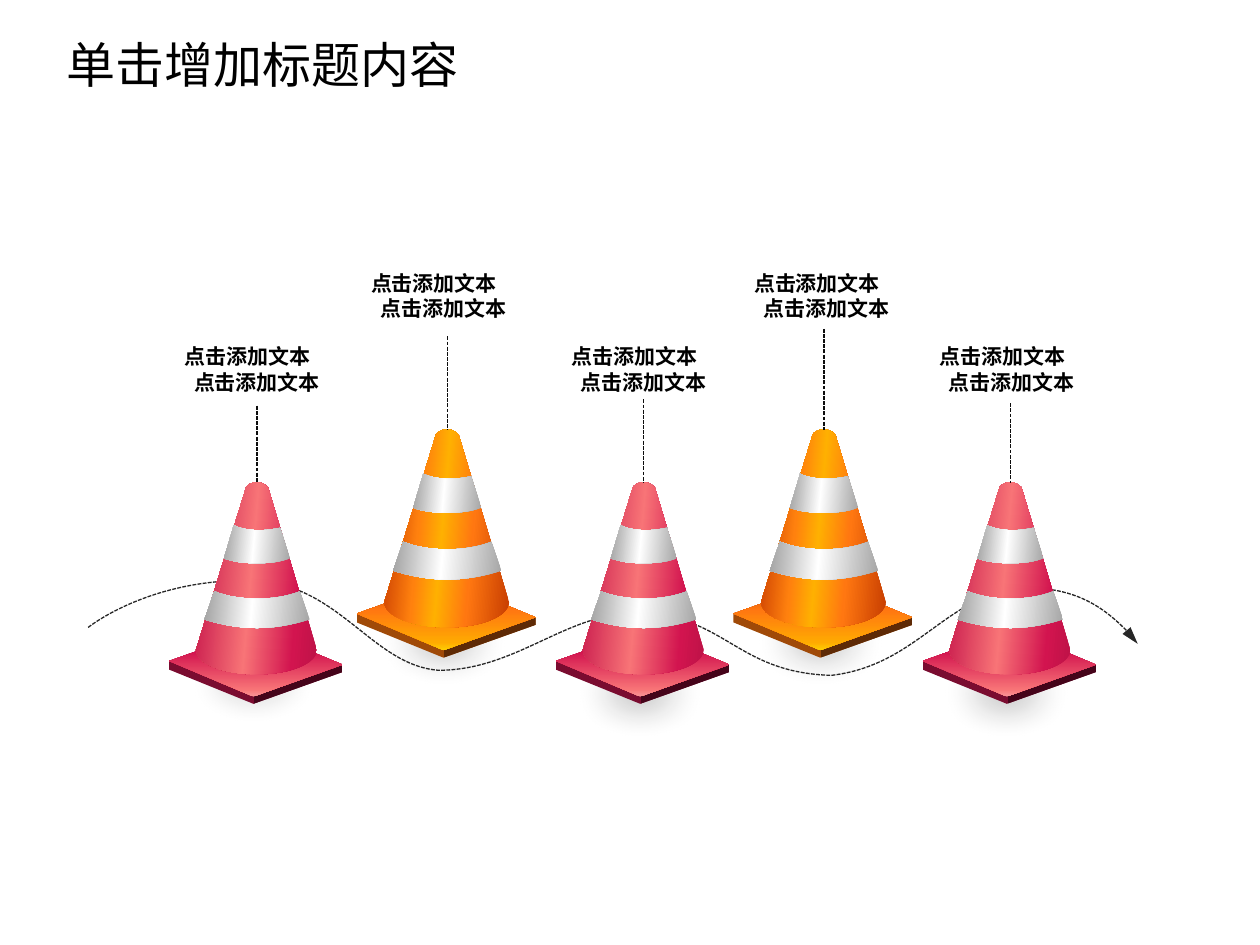
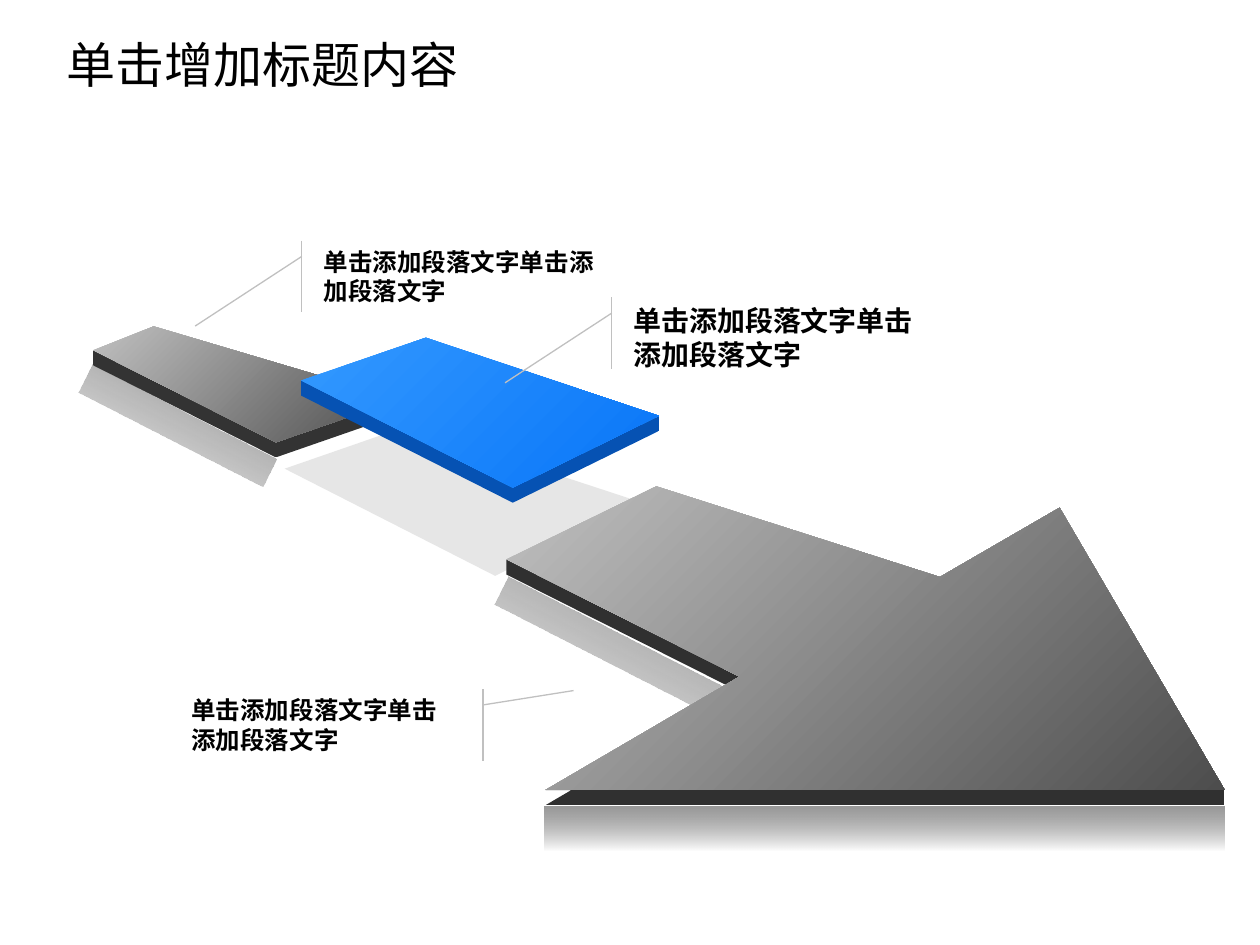
"""Build two diagram slides: a row of traffic cones and a broken arrow."""
from lxml import etree
from pptx import Presentation
from pptx.dml.color import RGBColor
from pptx.enum.dml import MSO_LINE
from pptx.enum.shapes import MSO_CONNECTOR, MSO_SHAPE
from pptx.enum.text import MSO_ANCHOR, PP_ALIGN
from pptx.oxml.ns import qn
from pptx.util import Inches, Pt

STRAIGHT = MSO_CONNECTOR.STRAIGHT
DASH = MSO_LINE.SQUARE_DOT
ELLIPSE = MSO_SHAPE.OVAL
RECTANGLE = MSO_SHAPE.RECTANGLE
CALLOUT = MSO_SHAPE.LINE_CALLOUT_1_ACCENT_BAR
TOP, MIDDLE = MSO_ANCHOR.TOP, MSO_ANCHOR.MIDDLE
LEFT, CENTER = PP_ALIGN.LEFT, PP_ALIGN.CENTER

CJK_FONT = "Noto Sans CJK SC"
BLACK = "000000"
TITLE = "单击增加标题内容"


def paint(shape, stops=(), angle=90, line=None, dash=None, soft=0):
    """Fill with (position, colour[, alpha]) stops, draw the line, set the soft edge."""
    properties = shape._element.spPr
    if stops:
        shape.fill.gradient()
        gradient = properties.find(qn("a:gradFill"))
        for child in list(gradient):
            gradient.remove(child)
        stop_list = etree.SubElement(gradient, qn("a:gsLst"))
        for position, colour, *alpha in stops:
            stop = etree.SubElement(stop_list, qn("a:gs"), pos=str(position * 1000))
            rgb = etree.SubElement(stop, qn("a:srgbClr"), val=colour)
            for value in alpha:
                etree.SubElement(rgb, qn("a:alpha"), val=str(value * 1000))
        etree.SubElement(gradient, qn("a:lin"), ang=str(angle * 60000), scaled="0")
    elif hasattr(shape, "fill"):
        shape.fill.background()
    if line:
        shape.line.color.rgb = RGBColor.from_string(line)
        shape.line.width = Pt(0.75)
        shape.line.dash_style = dash
    else:
        shape.line.fill.background()
    effects = etree.SubElement(properties, qn("a:effectLst"))
    if soft:
        etree.SubElement(effects, qn("a:softEdge"), rad=str(Inches(soft)))


def write(shape, lines, size, font="Arial", bold=False, align=LEFT, anchor=TOP, step=0):
    """Write lines as paragraphs, each indented by one more step."""
    frame = shape.text_frame
    frame.word_wrap = True
    frame.vertical_anchor = anchor
    for index, line in enumerate(lines):
        paragraph = frame.paragraphs[0] if index == 0 else frame.add_paragraph()
        paragraph.alignment = align
        paragraph._p.get_or_add_pPr().set("marL", str(Inches(step * index)))
        run = paragraph.add_run()
        run.text = line
        run.font.name = font
        run.font.size = Pt(size)
        run.font.bold = bold
        run.font.color.rgb = RGBColor.from_string(BLACK)
        etree.SubElement(run._r.get_or_add_rPr(), qn("a:ea"), typeface=CJK_FONT)


presentation = Presentation()
presentation.slide_width = Inches(10)
presentation.slide_height = Inches(7.5)
slides = []
for number in range(2):
    slide = presentation.slides.add_slide(presentation.slide_layouts[5])
    title = slide.shapes.title
    title.left, title.top = Inches(0.43), Inches(0.15)
    title.width, title.height = Inches(9.06), Inches(0.71)
    write(title, [TITLE], 28, anchor=MIDDLE)
    slides.append(slide)
cone_slide, arrow_slide = slides

SILVER = [(0, "A6A6A6"), (55, "FFFFFF"), (98, "A6A6A6")]
SHADE = [(0, "121212", 30), (100, "121212", 30)]
ORANGE = {
    "scale": 1, "top": 3.41, "label_top": 2.1,
    "body": [(0, "C73E01"), (31, "FF7711"), (53, "FFB001"), (70, "FF810E"), (89, "D74E05")],
    "base": [(0, "C73E01"), (42, "FF7711"), (89, "FFAA01"), (100, "FECE02")],
    "rim": [(0, "A04A08"), (49, "A04A08"), (49, "5E2A06"), (100, "5E2A06")],
}
RED = {
    "scale": 0.97, "top": 3.83, "label_top": 2.68,
    "body": [(0, "BE1247"), (19, "D2144F"), (54, "F87477"), (98, "C5134A")],
    "base": [(0, "BE1247"), (33, "D2144F"), (90, "F87477"), (100, "FA9496")],
    "rim": [(0, "7A0C30"), (49, "7A0C30"), (49, "45041A"), (100, "45041A")],
}
# centre, style, shadow top, label left, leader top
CONES = [
    (3.55, ORANGE, 4.64, 2.73, 2.67),
    (6.54, ORANGE, 4.64, 5.77, 2.61),
    (2.04, RED, 4.93, 1.25, 3.22),
    (5.11, RED, 5.05, 4.32, 3.17),
    (8.02, RED, 5.05, 7.24, 3.2),
]
for centre, style, shadow_top, label_left, leader_top in CONES:
    shadow = cone_slide.shapes.add_shape(
        ELLIPSE, Inches(centre - 0.8), Inches(shadow_top), Inches(1.54), Inches(0.9))
    paint(shadow, SHADE, soft=0.28)

WAVE = [
    (0.7, 4.98),
    (0.87, 4.85, 1.36, 4.58, 2.04, 4.61), (2.7, 4.65, 2.96, 5.28, 3.48, 5.32),
    (4.1, 5.32, 4.5, 4.86, 5.04, 4.87), (5.75, 4.86, 5.83, 5.34, 6.6, 5.36),
    (7.27, 5.28, 7.49, 4.75, 8.07, 4.67), (8.53, 4.64, 8.89, 4.91, 9.03, 5.11),
]
# cone outlines run from the centre of the tip; six numbers make a curve
RIM = [(-0.72, 1.46), (0.01, 1.2), (0.7, 1.49), (0.7, 1.55), (-0.03, 1.81), (-0.72, 1.53)]
BASE = [(-0.72, 1.46), (-0.03, 1.75), (0.7, 1.49), (0.01, 1.2)]
BODY = [
    (-0.09, 0.04), (-0.07, 0, 0.03, -0.03, 0.09, 0.04), (0.49, 1.37),
    (0.49, 1.48, 0.27, 1.57, 0, 1.57), (-0.28, 1.57, -0.5, 1.48, -0.5, 1.37),
]
UPPER_BAND = [
    (-0.19, 0.35), (-0.13, 0.38, -0.05, 0.39, 0.02, 0.39), (0.08, 0.39, 0.14, 0.38, 0.19, 0.37),
    (0.27, 0.62), (0.19, 0.65, 0.1, 0.66, 0, 0.66), (-0.1, 0.66, -0.19, 0.65, -0.27, 0.62),
]
LOWER_BAND = [
    (-0.35, 0.89), (-0.25, 0.93, -0.13, 0.95, 0, 0.95), (0.13, 0.95, 0.25, 0.93, 0.35, 0.89),
    (0.43, 1.12), (0.3, 1.16, 0.15, 1.19, 0, 1.19), (-0.15, 1.19, -0.3, 1.16, -0.43, 1.12),
]
# slide, origin, scale, outline, fill stops, gradient angle
drawings = [(cone_slide, (0, 0), 1, WAVE, (), 0)]
for centre, style, shadow_top, label_left, leader_top in CONES:
    parts = [
        (RIM, style["rim"], 0), (BASE, style["base"], 90), (BODY, style["body"], 185),
        (UPPER_BAND, SILVER, 185), (LOWER_BAND, SILVER, 185),
    ]
    drawings += [(cone_slide, (centre, style["top"]), style["scale"], *part) for part in parts]

GREY = [(0, "C0C0C0"), (100, "4D4D4D")]
BLUE = [(0, "3399FF"), (100, "0875F8")]
FLAT = [(0, "C0C0C0", 38), (100, "C0C0C0", 38)]
FADE = [(0, "5F5F5F", 0), (100, "969696")]
REFLECTIONS = [
    (0.59, 3.25, 1.64, 0.25, 207),
    (3.86, 5.05, 2.15, 0.25, 207),
    (4.32, 6.4, 5.4, 0.35, 180),
]
for left, top, width, height, rotation in REFLECTIONS:
    reflection = arrow_slide.shapes.add_shape(
        RECTANGLE, Inches(left), Inches(top), Inches(width), Inches(height))
    reflection.rotation = rotation
    paint(reflection, FADE)

# outline, fill stops, side colour, number of corners along the front
SLABS = [
    ([(0.74, 2.78), (2.19, 3.51), (3.17, 3.17), (1.22, 2.59)], GREY, "333333", 3),
    ([(2.26, 3.72), (3.93, 4.57), (5.1, 3.99), (3.24, 3.38)], FLAT, None, 0),
    ([(2.39, 3.02), (4.07, 3.87), (5.23, 3.3), (3.38, 2.68)], BLUE, "0652B3", 3),
    ([(4.02, 4.44), (5.87, 5.37), (4.33, 6.27), (9.72, 6.27), (8.41, 4.03), (7.46, 4.58),
      (5.21, 3.86)], GREY, "303030", 4),
]
for outline, stops, side_colour, corners in SLABS:
    if corners:
        front = outline[:corners]
        side = front + [(x, y + 0.12) for x, y in reversed(front)]
        side_stops = [(0, side_colour), (100, side_colour)]
        drawings.append((arrow_slide, (0, 0), 1, side, side_stops, 0))
    drawings.append((arrow_slide, (0, 0), 1, outline, stops, 45))

for slide, (origin_x, origin_y), scale, outline, stops, angle in drawings:
    points = [
        (Inches(origin_x + segment[i] * scale), Inches(origin_y + segment[i + 1] * scale))
        for segment in outline for i in range(0, len(segment), 2)]
    builder = slide.shapes.build_freeform(*points[0])
    builder.add_line_segments(points[1:], close=bool(stops))
    shape = builder.convert_to_shape()
    line_elements = iter(list(shape._element.spPr.iter(qn("a:lnTo"))))
    for segment in outline[1:]:
        element = next(line_elements)
        if len(segment) == 6:
            curve = etree.Element(qn("a:cubicBezTo"))
            element.addprevious(curve)
            for control in (element, next(line_elements), next(line_elements)):
                curve.append(control[0])
                control.getparent().remove(control)
    if stops:
        paint(shape, stops, angle)
    else:
        paint(shape, line="262626", dash=DASH)
        line_properties = shape._element.spPr.find(qn("a:ln"))
        etree.SubElement(line_properties, qn("a:tailEnd"), type="triangle", w="med", len="lg")

for centre, style, shadow_top, label_left, leader_top in CONES:
    leader = cone_slide.shapes.add_connector(
        STRAIGHT, Inches(centre), Inches(leader_top), Inches(centre), Inches(style["top"]))
    paint(leader, line="0D0D0D", dash=DASH)
    label = cone_slide.shapes.add_textbox(
        Inches(label_left), Inches(style["label_top"]), Inches(1.43), Inches(0.5))
    write(label, ["点击添加文本"] * 2, 12, font=CJK_FONT, bold=True, align=CENTER, step=0.15)

CALLOUTS = [
    (2.47, 1.91, 2.49, 14, (0.22, -0.03, 1.19, -0.37)),
    (4.93, 2.36, 2.49, 16, (0.22, -0.03, 1.19, -0.37)),
    (1.42, 5.47, 2.32, 14, (0.22, 1.04, 0.02, 1.35)),
]
for left, top, width, size, adjustments in CALLOUTS:
    callout = arrow_slide.shapes.add_shape(
        CALLOUT, Inches(left), Inches(top), Inches(width), Inches(0.57))
    for index, value in enumerate(adjustments):
        callout.adjustments[index] = value
    paint(callout, line="C0C0C0")
    write(callout, ["单击添加段落文字单击添加段落文字"], size, bold=True)

presentation.save("out.pptx")
